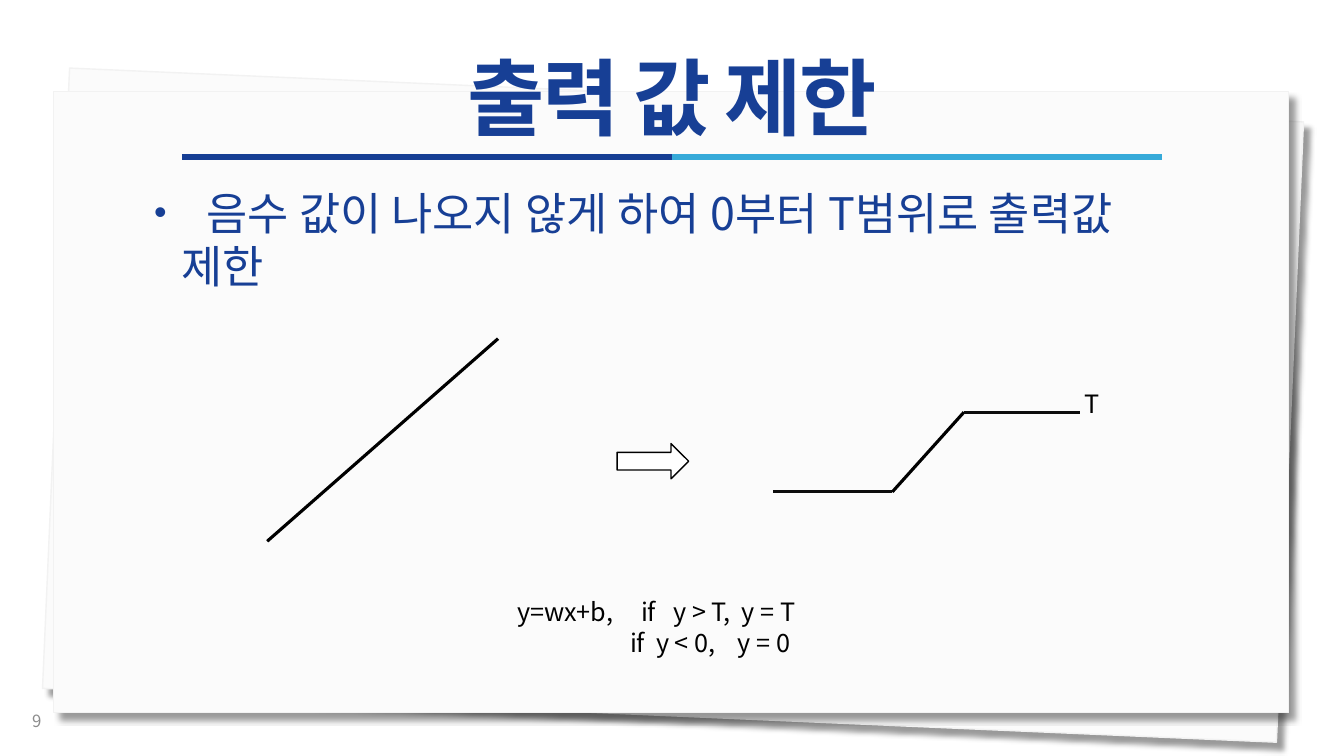
from lxml.etree import SubElement
from pptx import Presentation
from pptx.dml.color import RGBColor
from pptx.enum.shapes import MSO_CONNECTOR, MSO_SHAPE
from pptx.enum.text import MSO_ANCHOR, PP_ALIGN
from pptx.oxml.ns import qn
from pptx.util import Inches, Pt

FONT = "Noto Sans CJK KR"
COLORS = {
    "paper": "FBFBFB", "edge": "F2F2F2", "title": "173F95",
    "rule_dark": "163E94", "rule_light": "36AAD9", "number": "8C8C8C",
    "black": "000000", "curve": "0D0D0D", "white": "FFFFFF",
}


def color(name):
    return RGBColor.from_string(COLORS[name])


def style(para, size, name, bold=False):
    for span in para.runs:
        span.font.name = FONT
        span.font.size = Pt(size)
        span.font.bold = bold
        span.font.color.rgb = color(name)
        properties = span._r.get_or_add_rPr()
        SubElement(properties, qn("a:ea"), typeface=FONT)


def add_tabs(para, stops):
    tabs = SubElement(para._p.get_or_add_pPr(), qn("a:tabLst"))
    for stop in stops:
        SubElement(tabs, qn("a:tab"), pos=str(Inches(stop)), algn="l")


def add_text(page, left, top, width, height, lines, size, name):
    box = page.shapes.add_textbox(
        Inches(left), Inches(top), Inches(width), Inches(height))
    frame = box.text_frame
    frame.word_wrap = True
    frame.text = "\n".join(lines)
    for para in frame.paragraphs:
        style(para, size, name)
    return frame


def add_line(page, start, end, name, width):
    line = page.shapes.add_connector(
        MSO_CONNECTOR.STRAIGHT, *(Inches(value) for value in (*start, *end)))
    line.line.color.rgb = color(name)
    line.line.width = Pt(width)
    SubElement(line._element.spPr, qn("a:effectLst"))


def add_block(page, kind, left, top, width, height, fill, edge):
    block = page.shapes.add_shape(
        kind, Inches(left), Inches(top), Inches(width), Inches(height))
    block.shadow.inherit = False
    block.fill.solid()
    block.fill.fore_color.rgb = color(fill)
    block.line.color.rgb = color(edge)
    block.line.width = Pt(1)
    return block


def add_sheet(page, left, top, rotation):
    sheet = add_block(page, MSO_SHAPE.RECTANGLE, left, top, 12.25, 6.16, "paper", "edge")
    sheet.rotation = rotation
    effects = sheet._element.spPr.find(qn("a:effectLst"))
    shadow = SubElement(effects, qn("a:outerShdw"), blurRad=str(Pt(4)),
                        dist=str(Pt(7)), dir="2700000", algn="tl", rotWithShape="0")
    tint = SubElement(shadow, qn("a:srgbClr"), val=COLORS["black"])
    SubElement(tint, qn("a:alpha"), val="40000")


def add_heading(page, left, top, width, height):
    title = page.shapes.title
    title.left, title.top = Inches(left), Inches(top)
    title.width, title.height = Inches(width), Inches(height)
    frame = title.text_frame
    frame.text = "출력 값 제한"
    frame.vertical_anchor = MSO_ANCHOR.MIDDLE
    para = frame.paragraphs[0]
    para.alignment = PP_ALIGN.CENTER
    para.line_spacing = 0.9
    style(para, 60, "title", bold=True)
    para.runs[0]._r.get_or_add_rPr().set("spc", "-190")

    # Two-tone rule under the title
    middle, half, rule_top = left + width / 2, 4.86, top + 1
    add_line(page, (middle - half, rule_top), (middle, rule_top), "rule_dark", 4.5)
    add_line(page, (middle, rule_top), (middle + half, rule_top), "rule_light", 4.5)


def add_statement(page, left, top, width, height):
    frame = add_text(page, left, top, width, height,
                     ["\t음수 값이 나오지 않게 하여 0부터 T범위로 출력값 제한"], 32, "title")
    para = frame.paragraphs[0]
    para.space_after = Pt(18)
    properties = para._p.get_or_add_pPr()
    properties.set("marL", str(Inches(0.29)))
    properties.set("indent", str(Inches(-0.27)))
    SubElement(properties, qn("a:buSzPct"), val="80000")
    SubElement(properties, qn("a:buFont"), typeface="Arial")
    SubElement(properties, qn("a:buChar"), char="•")
    add_tabs(para, [0.54])


def add_diagram(page, left, top):
    # Unlimited output
    add_line(page, (left, top + 2.01), (left + 2.29, top), "black", 2.25)
    add_block(page, MSO_SHAPE.RIGHT_ARROW, left + 3.47, top + 1.04, 0.71, 0.35,
              "white", "black")

    # Output limited to the range 0 to T
    low, high = top + 1.52, top + 0.73
    points = [(left + 5.02, low), (left + 6.2, low),
              (left + 6.91, high), (left + 8.06, high)]
    names = ["curve", "black", "curve"]
    for start, end, name in zip(points, points[1:], names):
        add_line(page, start, end, name, 2.25)
    add_text(page, left + 8.01, top + 0.44, 0.47, 0.49, ["T"], 18, "black")


def add_formula(page, left, top, width, height):
    lines = ["y=wx+b,\tif\ty > T,\ty = T", "\tif\ty < 0,\ty = 0"]
    stops = [[1.23, 1.55, 2.23], [1.12, 1.38, 2.19]]
    frame = add_text(page, left, top, width, height, lines, 18, "black")
    for para, positions in zip(frame.paragraphs, stops):
        add_tabs(para, positions)


def add_page_number(page, left, top, width, height):
    frame = add_text(page, left, top, width, height, ["9"], 12, "number")
    frame.vertical_anchor = MSO_ANCHOR.MIDDLE


def main():
    deck = Presentation()
    deck.slide_width, deck.slide_height = Inches(13.33), Inches(7.5)
    page = deck.slides.add_slide(deck.slide_layouts[5])

    # Paper background, with the title brought in front of it
    add_sheet(page, 0.55, 0.94, 2.5)
    add_sheet(page, 0.53, 0.91, 0)
    page.shapes._spTree.append(page.shapes.title._element)

    add_heading(page, 0, 0.56, 13.33, 0.9)
    add_page_number(page, 0.22, 6.95, 3, 0.4)
    add_diagram(page, 2.65, 3.36)
    add_formula(page, 5.03, 5.87, 6.02, 0.71)
    add_statement(page, 1.41, 1.79, 10.59, 0.64)
    deck.save("out.pptx")


if __name__ == "__main__":
    main()
